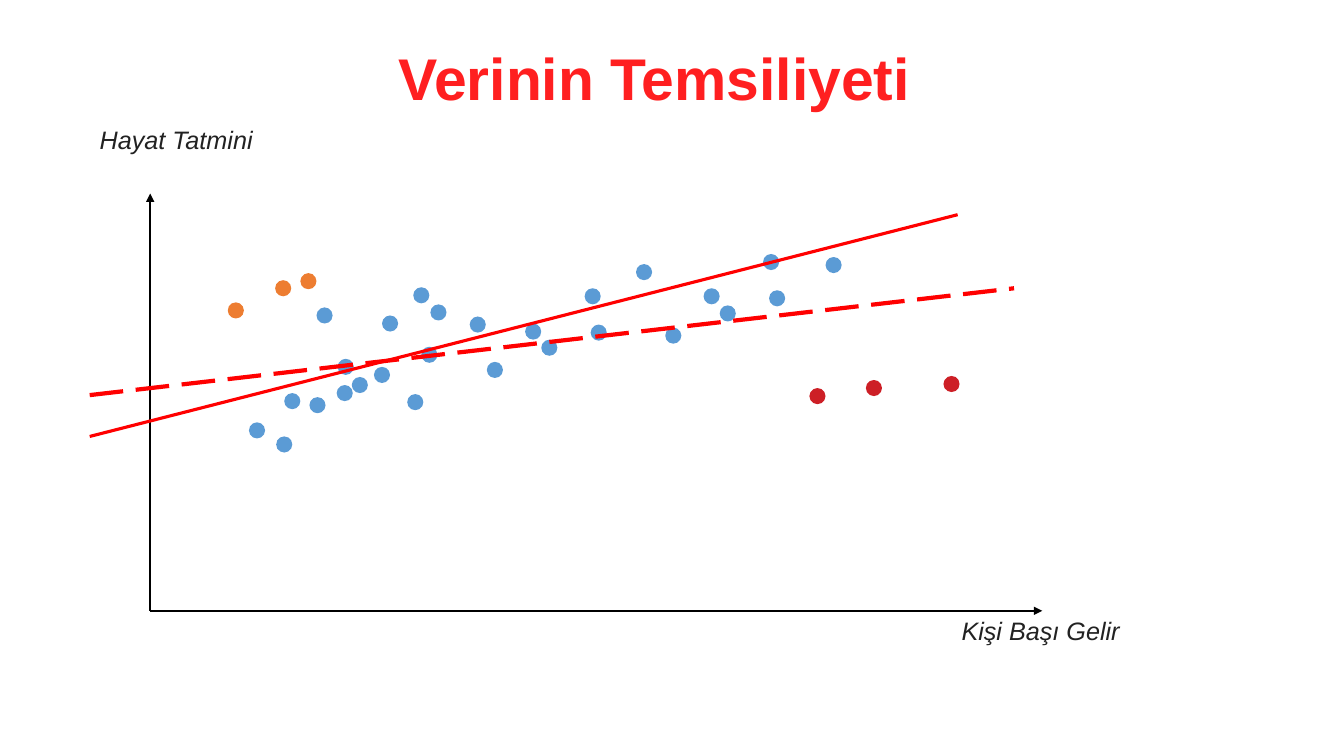
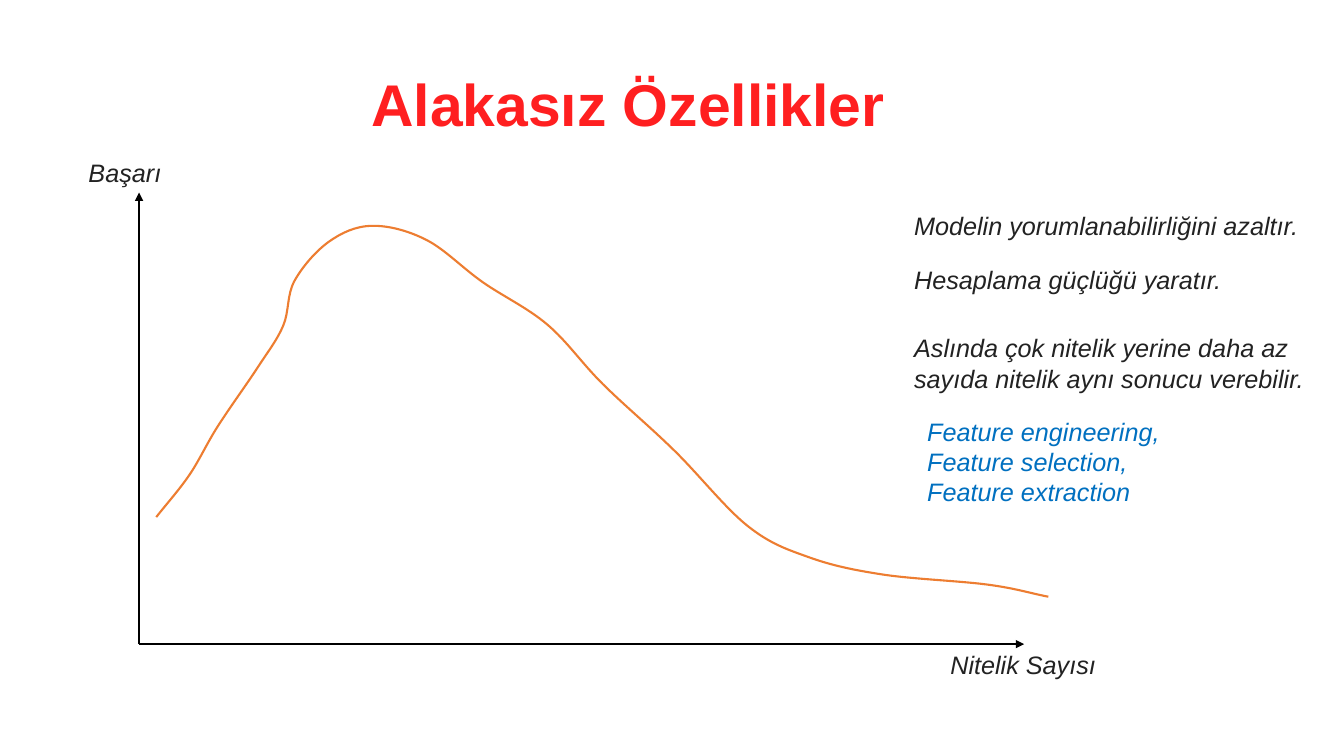
"""Builds two slides on how data and features affect a model."""
from pptx import Presentation
from pptx.dml.color import RGBColor as Rgb
from pptx.enum.dml import MSO_LINE as Dash
from pptx.enum.shapes import MSO_CONNECTOR as Conn, MSO_SHAPE as Kind
from pptx.enum.text import MSO_ANCHOR as Anchor, MSO_AUTO_SIZE as Fit, PP_ALIGN as Align
from pptx.oxml.ns import qn
from pptx.util import Inches, Pt
from lxml.etree import SubElement as Sub

FONT = "Arial"
TITLE, INK, BLACK, RED = "FF1F20", "222222", "000000", "FF0000"
BLUE, ORANGE, CRIMSON, LINK = "5B9BD5", "ED7D31", "CD1F26", "0070C0"
CELL = Inches(0.1)
DOT = 1.6

USUAL = [
    (24.7, 41.9), (27.4, 43.3), (28.2, 39), (30.7, 39.4), (31.4, 30.5),
    (33.4, 38.2), (33.5, 35.6), (34.9, 37.4), (37.1, 36.4), (37.9, 31.3),
    (40.4, 39.1), (41, 28.5), (41.8, 34.4), (42.7, 30.2), (46.6, 31.4),
    (48.3, 35.9), (52.1, 32.1), (53.7, 33.7), (58, 28.6), (58.6, 32.2),
    (63.1, 26.2), (66, 32.5), (69.8, 28.6), (71.4, 30.3), (75.7, 25.2),
    (76.3, 28.8), (81.9, 25.5),
]
HAPPY = [(22.6, 30), (27.3, 27.8), (29.8, 27.1)]
RICH = [(80.3, 38.5), (85.9, 37.7), (93.6, 37.3)]
KNOTS = [
    (15.5, 51.3), (18.8, 47.1), (21.6, 42.3), (25.6, 36.4), (28.1, 32.3),
    (29.2, 27.9), (32.6, 24), (36.9, 22.4), (42.3, 23.8), (47.9, 28),
    (54.3, 32.2), (59.8, 38.1), (66.9, 44.7), (74.2, 52.2), (80.3, 55.3),
    (87.6, 57), (98, 58), (104, 59.2),
]


def hue(code):
    return Rgb.from_string(code)


def grid(*cells):
    return [round(n * CELL) for n in cells]


class Deck:
    """Holds the style and the current slide; lengths are grid cells."""

    def __init__(self):
        self.file = Presentation()
        self.file.slide_width, self.file.slide_height = Inches(13.333), Inches(7.5)

    def page(self, title, left, top):
        self.slide = self.file.slides.add_slide(self.file.slide_layouts[6])
        self.shapes = self.slide.shapes
        box = self.shapes.add_textbox(*grid(left, top, 100, 7.4))
        frame = box.text_frame
        frame.word_wrap, frame.vertical_anchor = True, Anchor.MIDDLE
        para = frame.paragraphs[0]
        para.alignment, para.line_spacing = Align.CENTER, 0.9
        self.style(para, title, 42, TITLE)
        para.font.bold = True

    def style(self, para, text, size, color):
        para.text = text
        font = para.font
        font.name, font.size, font.color.rgb = FONT, Pt(size), hue(color)

    def note(self, left, top, width, *rows, color=INK):
        box = self.shapes.add_textbox(*grid(left, top, width, 1 + 3.05 * len(rows)))
        frame = box.text_frame
        frame.word_wrap, frame.auto_size = False, Fit.SHAPE_TO_FIT_TEXT
        for i, row in enumerate(rows):
            para = frame.add_paragraph() if i else frame.paragraphs[0]
            self.style(para, row, 18, color)
            para.font.italic = True

    def line(self, start, end, color, width, dash=None, arrow=False):
        line = self.shapes.add_connector(Conn.STRAIGHT, *grid(*start, *end))
        line.line.color.rgb, line.line.width = hue(color), Pt(width)
        if dash:
            line.line.dash_style = dash
        if arrow:
            Sub(line.line._get_or_add_ln(), qn("a:tailEnd"), type="triangle")
        Sub(line._element.spPr, qn("a:effectLst"))

    def axes(self, left, base, top, right):
        for end in ((left, top), (right, base)):
            self.line((left, base), end, BLACK, 1.5, arrow=True)

    def dots(self, spots, color):
        for x, y in spots:
            dot = self.shapes.add_shape(Kind.OVAL, *grid(x, y, DOT, DOT))
            dot.shadow.inherit = False
            dot.fill.solid()
            dot.fill.fore_color.rgb = hue(color)
            dot.line.fill.background()

    def curve(self, knots, color, width):
        pts = [grid(*knot) for knot in knots]
        pen = self.shapes.build_freeform(*pts[0])
        pen.add_line_segments(pts[1:], close=False)
        shape = pen.convert_to_shape()
        shape.shadow.inherit = False
        shape.fill.background()
        shape.line.color.rgb, shape.line.width = hue(color), Pt(width)
        left, top = (min(axis) for axis in zip(*pts))
        first = [2 * a - b for a, b in zip(pts[0], pts[1])]
        last = [2 * a - b for a, b in zip(pts[-1], pts[-2])]
        ring = [first, *pts, last]
        steps = list(shape._element.iter(qn("a:lnTo")))
        for step, a, b, c, d in zip(steps, ring, ring[1:], ring[2:], ring[3:]):
            out = [q + (r - p) / 6 for p, q, r in zip(a, b, c)]
            into = [r - (s - q) / 6 for q, r, s in zip(b, c, d)]
            bend = step.getparent().makeelement(qn("a:cubicBezTo"))
            for x, y in (out, into, c):
                Sub(bend, qn("a:pt"), x=str(round(x - left)), y=str(round(y - top)))
            step.getparent().replace(step, bend)


def main():
    deck = Deck()

    deck.page("Verinin Temsiliyeti", 14.9, 4.4)
    deck.axes(14.9, 60.6, 19.2, 103.4)
    deck.note(8.9, 11.8, 17.4, "Hayat Tatmini")
    deck.note(94.4, 60.6, 17.9, "Kişi Başı Gelir")
    for spots, color in ((USUAL, BLUE), (HAPPY, ORANGE), (RICH, CRIMSON)):
        deck.dots(spots, color)
    deck.line((8.9, 43.3), (95, 21.3), RED, 2.25)
    deck.line((8.9, 39.2), (100.6, 28.6), RED, 3, Dash.LONG_DASH)

    deck.page("Alakasız Özellikler", 12.3, 7)
    deck.axes(13.8, 63.9, 19.1, 101.6)
    deck.note(7.8, 15.1, 9.3, "Başarı")
    deck.note(93.3, 63.9, 16.6, "Nitelik Sayısı")
    deck.curve(KNOTS, ORANGE, 1.5)
    deck.note(89.7, 20.4, 40.5, "Modelin yorumlanabilirliğini azaltır.")
    deck.note(89.7, 25.7, 32.8, "Hesaplama güçlüğü yaratır.")
    deck.note(89.7, 32.5, 41.8, "Aslında çok nitelik yerine daha az",
              "sayıda nitelik aynı sonucu verebilir.")
    deck.note(91, 40.8, 26, "Feature engineering,", "Feature selection,",
              "Feature extraction", color=LINK)

    deck.file.save("out.pptx")


if __name__ == "__main__":
    main()
